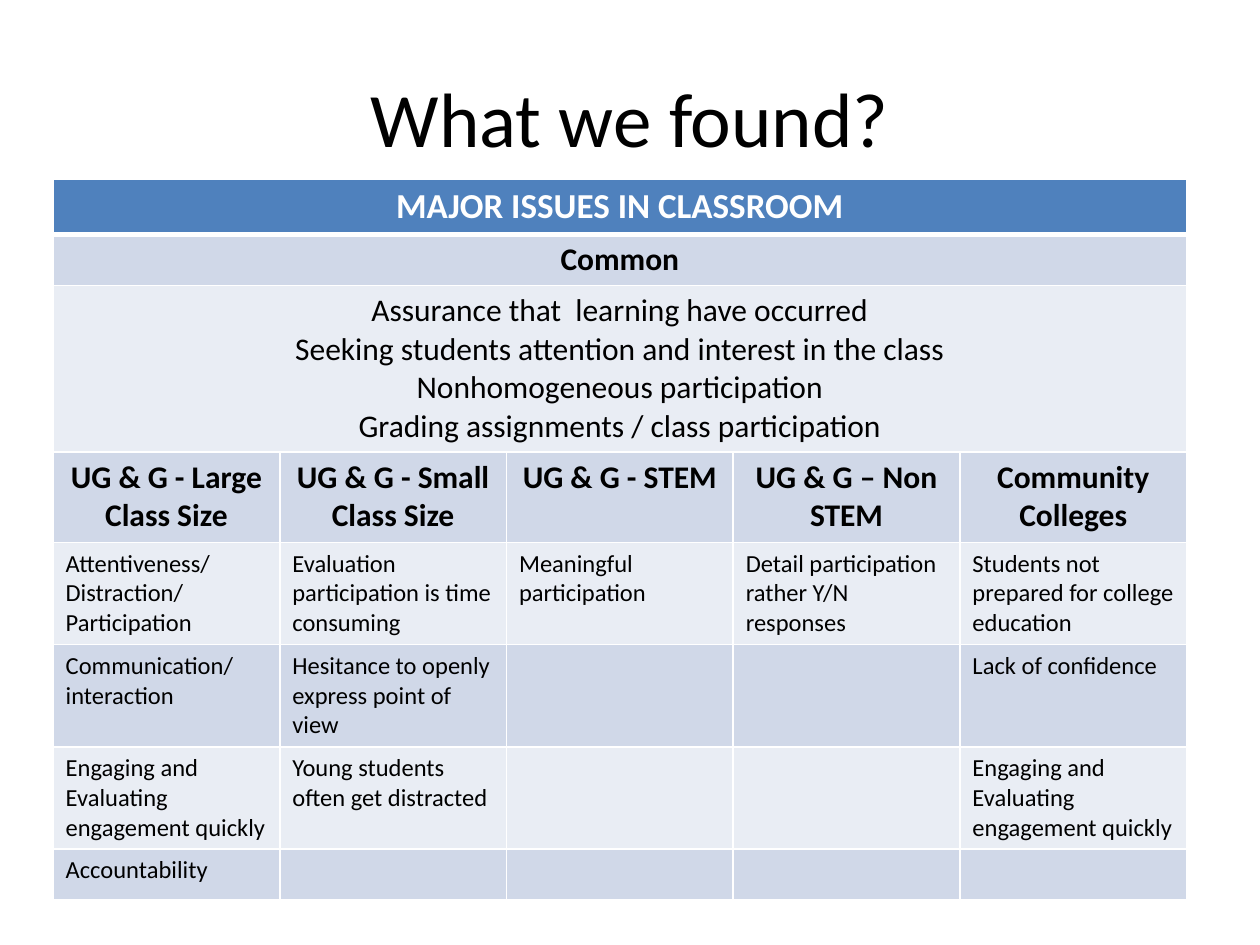
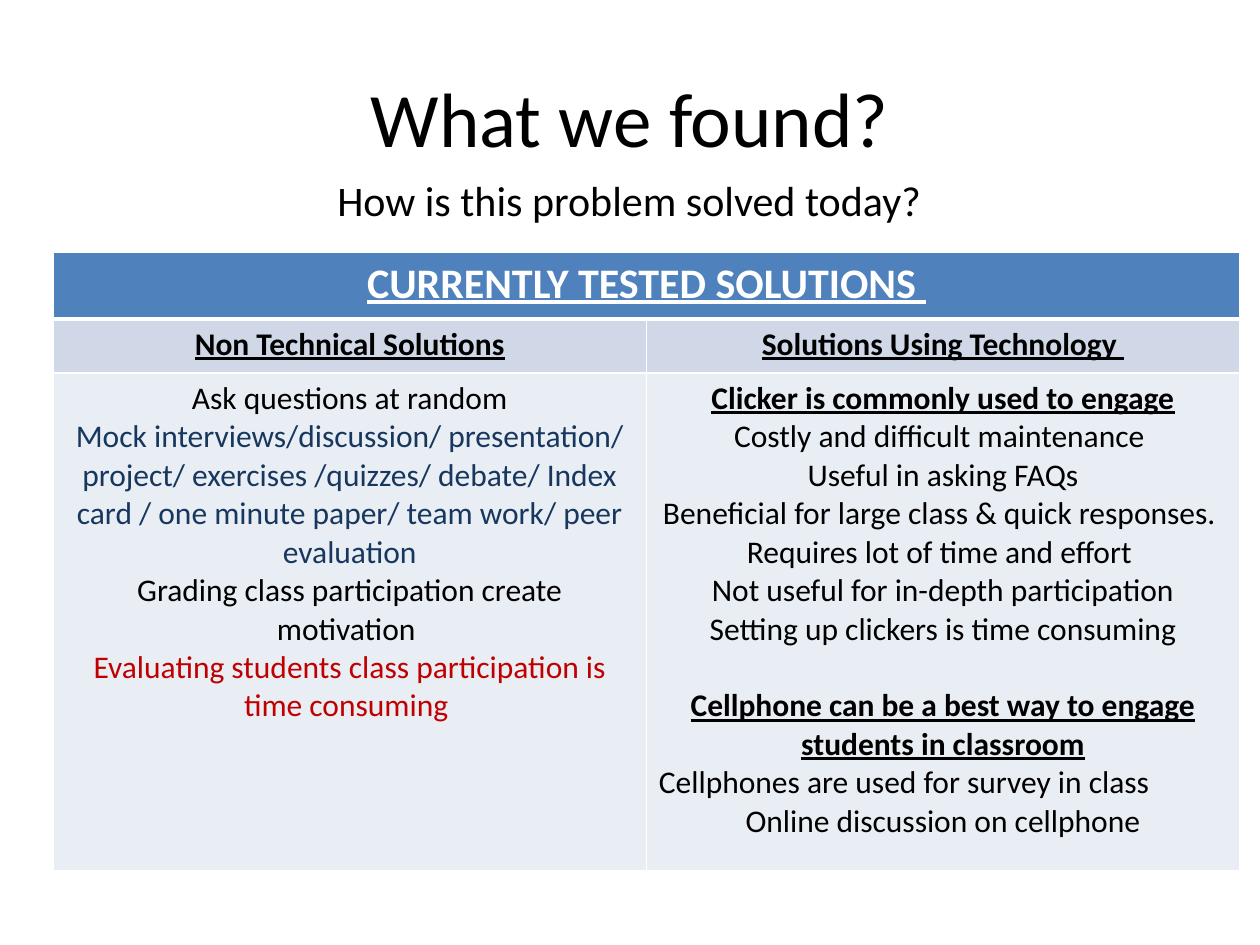
from dataclasses import dataclass

from lxml import etree
from pptx import Presentation
from pptx.dml.color import RGBColor
from pptx.enum.text import MSO_ANCHOR, PP_ALIGN
from pptx.oxml.ns import qn
from pptx.util import Cm, Pt

LEFT, CENTER = PP_ALIGN.LEFT, PP_ALIGN.CENTER
MIDDLE = MSO_ANCHOR.MIDDLE


@dataclass(frozen=True)
class Theme:
    font: str = "Calibri"
    black: str = "000000"
    white: str = "FFFFFF"
    navy: str = "17375E"
    red: str = "C00000"
    header: str = "4F81BD"
    bands: tuple = ("E9EDF4", "D0D8E8")  # even rows, odd rows
    title_size: int = 44
    subtitle_size: int = 24
    header_size: int = 20
    body_size: int = 18
    detail_size: int = 14
    thin: float = 1
    thick: float = 3


THEME = Theme()

# Paragraph styles: size, colour, bold, underline, alignment, space before
STYLES = {
    "title": (THEME.title_size, THEME.black, False, False, CENTER, 0),
    "subtitle": (THEME.subtitle_size, THEME.black, False, False, LEFT, 0),
    "header": (THEME.header_size, THEME.white, True, False, CENTER, 0),
    "large header": (THEME.subtitle_size, THEME.white, True, True, CENTER, 0),
    "heading": (THEME.body_size, THEME.black, True, False, CENTER, 0),
    "underlined": (THEME.body_size, THEME.black, True, True, CENTER, 0),
    "new group": (THEME.body_size, THEME.black, True, True, CENTER, 22),
    "body": (THEME.body_size, THEME.black, False, False, CENTER, 0),
    "body left": (THEME.body_size, THEME.black, False, False, LEFT, 0),
    "navy": (THEME.body_size, THEME.navy, False, False, CENTER, 0),
    "red": (THEME.body_size, THEME.red, False, False, CENTER, 0),
    "detail": (THEME.detail_size, THEME.black, False, False, LEFT, 0),
}


def write_paragraphs(frame, lines):
    """Fill a text frame with (style name, text) pairs."""
    for index, (style, text) in enumerate(lines):
        para = frame.add_paragraph() if index else frame.paragraphs[0]
        size, color, bold, underline, alignment, space = STYLES[style]
        para.text = text
        para.alignment = alignment
        para.space_before = Pt(space)
        para.font.name = THEME.font
        para.font.size = Pt(size)
        para.font.bold = bold
        para.font.underline = underline
        para.font.color.rgb = RGBColor.from_string(color)


def add_banded_table(page, top, column_width, row_heights, rows):
    """Add a table whose one-cell rows span all columns."""
    columns = max(len(row) for row in rows)
    table = page.shapes.add_table(
        len(rows), columns, Cm(1.07), Cm(top),
        Cm(column_width * columns), Cm(sum(row_heights))).table
    for column in table.columns:
        column.width = Cm(column_width)
    for index, (height, row) in enumerate(zip(row_heights, rows)):
        table.rows[index].height = Cm(height)
        if len(row) == 1:
            table.cell(index, 0).merge(table.cell(index, columns - 1))
        for column in range(columns):
            cell = table.cell(index, column)
            # White borders, thicker under the header row
            properties = cell._tc.get_or_add_tcPr()
            for side in ("lnL", "lnR", "lnT", "lnB"):
                under_header = (index, side) in ((0, "lnB"), (1, "lnT"))
                width = Pt(THEME.thick if under_header else THEME.thin)
                line = etree.SubElement(properties, qn(f"a:{side}"), w=str(width))
                fill = etree.SubElement(line, qn("a:solidFill"))
                etree.SubElement(fill, qn("a:srgbClr"), val=THEME.white)
            cell.fill.solid()
            color = THEME.bands[index % 2] if index else THEME.header
            cell.fill.fore_color.rgb = RGBColor.from_string(color)
            if column < len(row):
                write_paragraphs(cell.text_frame, row[column])


deck = Presentation()
deck.slide_width, deck.slide_height = Cm(25.4), Cm(19.05)

# Both pages share the title
pages = [deck.slides.add_slide(deck.slide_layouts[5]) for _ in range(2)]
for page in pages:
    title = page.shapes.title
    title.left, title.top = Cm(1.27), Cm(0.76)
    title.width, title.height = Cm(22.86), Cm(3.18)
    title.text_frame.vertical_anchor = MIDDLE
    write_paragraphs(title.text_frame, [("title", "What we found?")])
issues_page, solutions_page = pages

# Issues: common ones first, then by type of class
class_types = ["UG & G - Large Class Size", "UG & G - Small Class Size",
               "UG & G - STEM", "UG & G – Non STEM", "Community Colleges"]
class_issues = [
    ["Attentiveness/ Distraction/ Participation",
     "Evaluation participation is time consuming",
     "Meaningful participation",
     "Detail participation rather Y/N responses",
     "Students not prepared for college education"],
    ["Communication/ interaction",
     "Hesitance to openly express point of view",
     "", "", "Lack of confidence"],
    ["Engaging and Evaluating engagement quickly",
     "Young students often get distracted",
     "", "", "Engaging and Evaluating engagement quickly"],
    ["Accountability", "", "", "", ""],
]
issue_rows = [
    [[("header", "MAJOR ISSUES IN CLASSROOM")]],
    [[("heading", "Common")]],
    [[("body", "Assurance that  learning have occurred"),
      ("body", "Seeking students attention and interest in the class"),
      ("body", "Nonhomogeneous participation"),
      ("body", "Grading assignments / class participation")]],
    [[("heading", name)] for name in class_types],
]
for issues in class_issues:
    issue_rows.append([[("detail", issue)] if issue else [] for issue in issues])
add_banded_table(issues_page, 3.61, 4.57,
                 [1.1, 1.03, 3.35, 1.82, 2.06, 2.06, 2.06, 1.03], issue_rows)

# Solutions: without and with technology
solution_rows = [
    [[("large header", "CURRENTLY TESTED SOLUTIONS ")]],
    [[("underlined", "Non Technical Solutions")],
     [("underlined", "Solutions Using Technology ")]],
    [[("body", "Ask questions at random"),
      ("navy", "Mock interviews/discussion/ presentation/ project/ exercises "
               "/quizzes/ debate/ Index card / one minute paper/ team work/ "
               "peer evaluation"),
      ("body", "Grading class participation create motivation "),
      ("red", "Evaluating students class participation is time consuming ")],
     [("underlined", "Clicker is commonly used to engage"),
      ("body", "Costly and difficult maintenance "),
      ("body", "Useful in asking FAQs"),
      ("body", "Beneficial for large class & quick responses. "),
      ("body", "Requires lot of time and effort "),
      ("body", "Not useful for in-depth participation"),
      ("body", "Setting up clickers is time consuming"),
      ("new group", "Cellphone can be a best way to engage students in classroom"),
      ("body left", "Cellphones are used for survey in class"),
      ("body", "Online discussion on cellphone")]],
]
add_banded_table(solutions_page, 5.08, 11.96, [1.35, 1.09, 10.03], solution_rows)

# Question under the title
question = solutions_page.shapes.add_textbox(Cm(6.55), Cm(3.4), Cm(12.4), Cm(1.27))
question.text_frame.word_wrap = False
write_paragraphs(question.text_frame,
                 [("subtitle", "How is this problem solved today?")])

deck.save("out.pptx")
